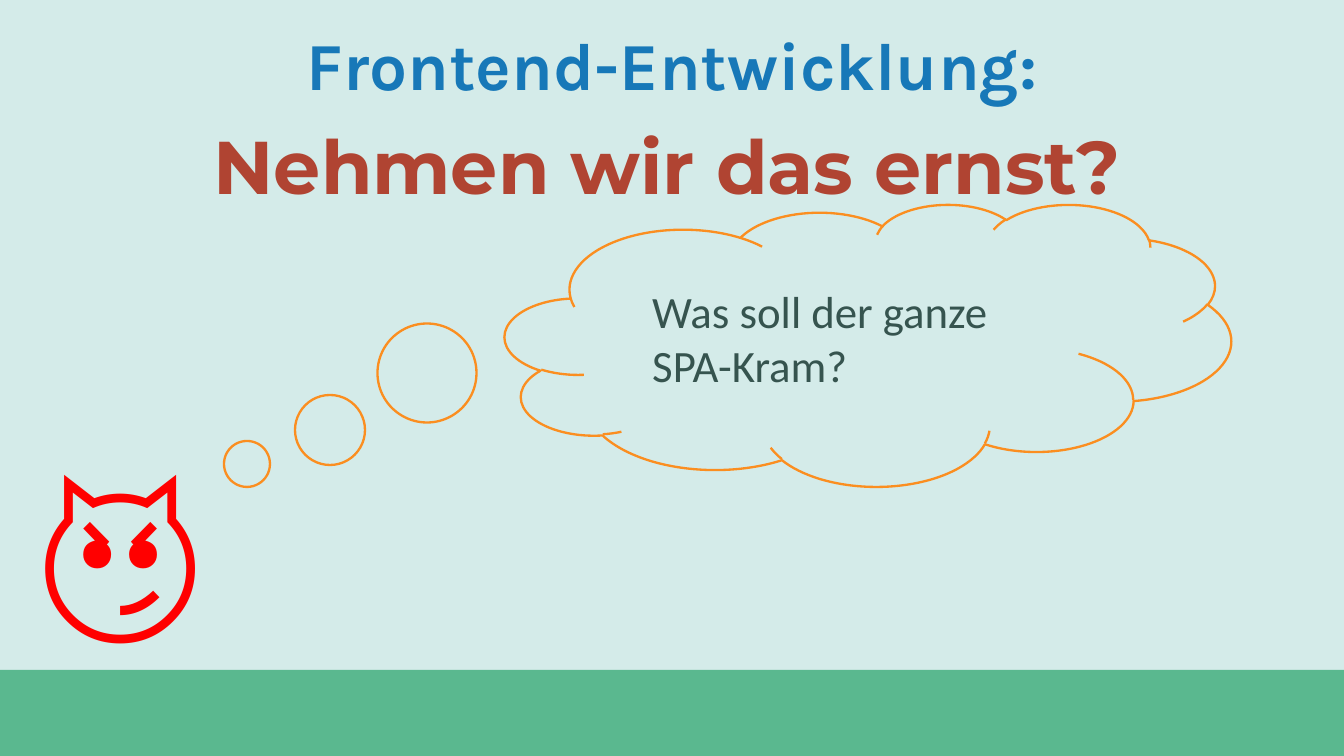
from pptx import Presentation
from pptx.dml.color import RGBColor
from pptx.enum.shapes import MSO_SHAPE as SHAPE
from pptx.enum.text import MSO_ANCHOR, MSO_AUTO_SIZE, PP_ALIGN
from pptx.util import Pt

PX = 914400 / 134.4  # EMU per pixel
WIDTH, HEIGHT = 1344, 756

MINT = RGBColor(0xD4, 0xEB, 0xE9)
GREEN = RGBColor(0x5A, 0xB8, 0x8F)
BLUE = RGBColor(0x17, 0x78, 0xB8)
BRICK = RGBColor(0xB0, 0x44, 0x32)
RED = RGBColor(0xFF, 0x00, 0x00)
ORANGE = RGBColor(0xFB, 0x8E, 0x20)
SLATE = RGBColor(0x36, 0x54, 0x4F)

# Content: text lines and boxes as (left, top, width, height) in px
TITLE = ["Frontend-Entwicklung:"]
SUBTITLE = ["Nehmen wir das ernst?"]
FACE = ["😼"]
THOUGHT = ["Was soll der ganze", "SPA-Kram?"]

TITLE_BOX = (0, 17, WIDTH, 96)
SUBTITLE_BOX = (0, 113, 1334, 104)
FACE_BOX = (25, 425, 209, 231)
THOUGHT_BOX = (639, 277, 366, 122)
CLOUD_BOX = (505, 204, 726, 282)
FOOTER_BOX = (0, 670, WIDTH, HEIGHT - 670)
BUBBLES = [(247, 464, 46), (330, 430, 70), (427, 373, 99)]  # centre x, y, diameter


def emu(box):
    return [round(v * PX) for v in box]


def write(sp, lines, box, font, size, color, bold=False,
          align=PP_ALIGN.LEFT, wrap=True):
    sp.left, sp.top, sp.width, sp.height = emu(box)
    tf = sp.text_frame
    tf.auto_size = MSO_AUTO_SIZE.NONE
    tf.word_wrap = wrap
    tf.vertical_anchor = MSO_ANCHOR.TOP
    for i, line in enumerate(lines):
        p = tf.paragraphs[0] if i == 0 else tf.add_paragraph()
        p.alignment = align
        p.space_before = Pt(0)
        r = p.add_run()
        r.text = line
        r.font.name = font
        r.font.size = Pt(size)
        r.font.bold = bold
        r.font.color.rgb = color


def add_shape(s, kind, box, fill=None, line=None):
    sp = s.shapes.add_shape(kind, *emu(box))
    sp.shadow.inherit = False
    if fill is None:
        sp.fill.background()
    else:
        sp.fill.solid()
        sp.fill.fore_color.rgb = fill
    if line is None:
        sp.line.fill.background()
    else:
        sp.line.color.rgb = line
        sp.line.width = Pt(1.25)


def add_text(s, lines, box, **fmt):
    write(s.shapes.add_textbox(*emu(box)), lines, box, **fmt)


def main():
    prs = Presentation()
    prs.slide_width, prs.slide_height = emu((WIDTH, HEIGHT))
    s = prs.slides.add_slide(prs.slide_layouts[0])
    s.background.fill.solid()
    s.background.fill.fore_color.rgb = MINT

    # Footer band
    add_shape(s, SHAPE.RECTANGLE, FOOTER_BOX, fill=GREEN)

    # Headings
    write(s.shapes.title, TITLE, TITLE_BOX, font="Karla", size=36,
          color=BLUE, bold=True, align=PP_ALIGN.CENTER)
    write(s.placeholders[1], SUBTITLE, SUBTITLE_BOX, font="Montserrat", size=40,
          color=BRICK, bold=True, align=PP_ALIGN.CENTER)

    # Face and its thought bubbles
    add_text(s, FACE, FACE_BOX, font="Calibri", size=96, color=RED, wrap=False)
    for x, y, d in BUBBLES:
        add_shape(s, SHAPE.OVAL, (x - d / 2, y - d / 2, d, d), line=ORANGE)

    # Thought cloud
    add_shape(s, SHAPE.CLOUD, CLOUD_BOX, line=ORANGE)
    add_text(s, THOUGHT, THOUGHT_BOX, font="Calibri", size=24, color=SLATE, wrap=False)

    prs.save("out.pptx")


if __name__ == "__main__":
    main()
